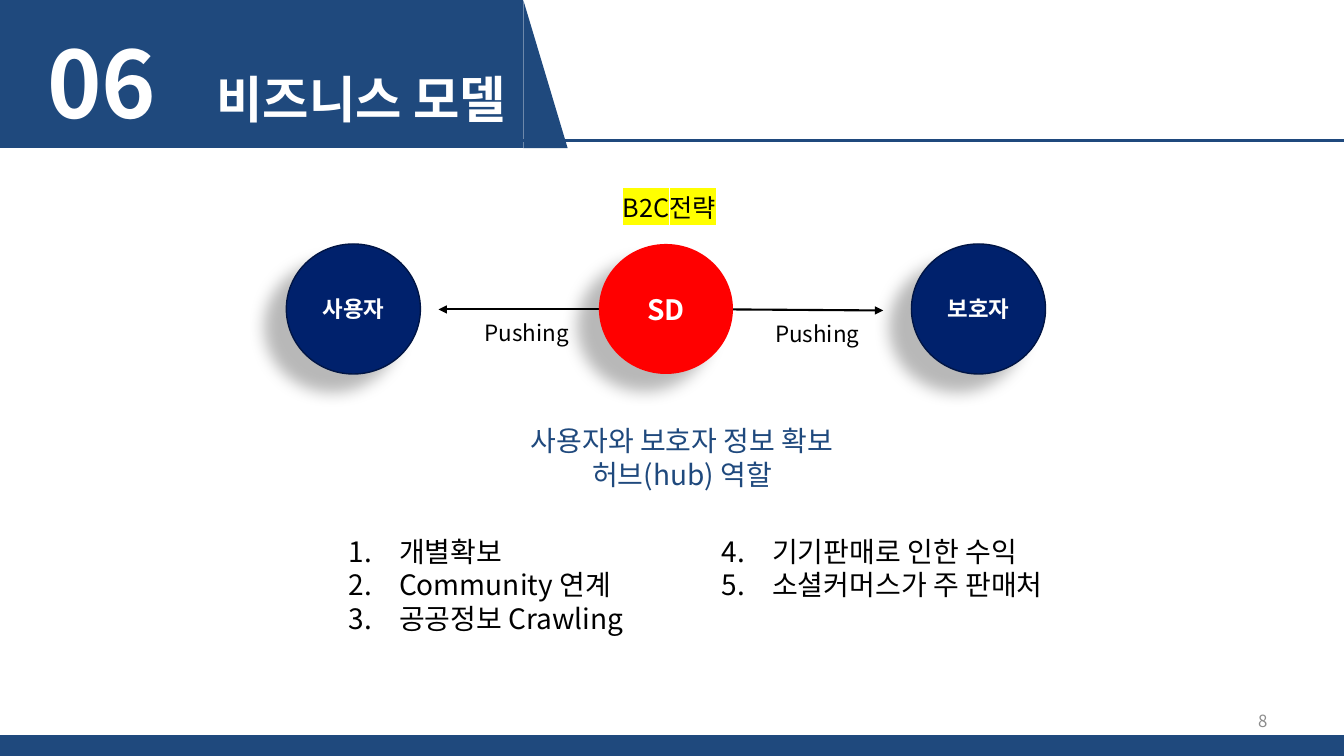
"""Build the business model slide with its push diagram and numbered plans."""

from dataclasses import dataclass
from typing import Optional

from lxml.etree import SubElement
from pptx import Presentation
from pptx.dml.color import RGBColor as Rgb
from pptx.enum.shapes import MSO_CONNECTOR as Connector, MSO_SHAPE as Preset
from pptx.enum.text import MSO_ANCHOR as Anchor, PP_ALIGN as Align
from pptx.oxml.ns import qn
from pptx.shapes.autoshape import Shape
from pptx.shapes.connector import Connector as Line
from pptx.slide import Slide
from pptx.text.text import _Paragraph as Paragraph
from pptx.util import Inches, Pt


@dataclass(frozen=True)
class Theme:
    """Colours, font and type sizes of the slide."""
    font: str = "Noto Sans CJK KR"
    blue: str = "1F497D"
    navy: str = "00216C"
    navy_edge: str = "001545"
    red: str = "FF0000"
    black: str = "000000"
    white: str = "FFFFFF"
    grey: str = "8C8C8C"
    yellow: str = "FFFF00"
    number: int = 66
    title: int = 36
    body: int = 20
    strategy: int = 18
    label: int = 16
    page: int = 12


THEME = Theme()


@dataclass(frozen=True)
class Box:
    """Position and size in inches."""
    left: float
    top: float
    width: float
    height: float


@dataclass(frozen=True)
class Band:
    """A plain blue header or footer block."""
    preset: Preset
    box: Box


@dataclass(frozen=True)
class Node:
    """A round participant of the diagram."""
    text: str
    left: float
    fill: str
    edge: Optional[str]
    size: int


@dataclass(frozen=True)
class Rule:
    """A straight line between two points in inches."""
    start: tuple[float, float]
    end: tuple[float, float]
    color: str
    weight: float
    arrow: bool = False


@dataclass(frozen=True)
class Caption:
    """A text box whose lines share one format."""
    lines: tuple[str, ...]
    box: Box
    size: int
    color: str = THEME.black
    align: Align = Align.LEFT
    anchor: Anchor = Anchor.TOP
    wrap: bool = True
    highlight: Optional[str] = None
    first_number: Optional[int] = None


BANDS = (
    Band(Preset.FLOWCHART_PROCESS, Box(0, 0, 5.19, 1.47)),
    Band(Preset.ISOSCELES_TRIANGLE, Box(5.19, 0, 0.44, 1.47)),
    Band(Preset.FLOWCHART_PROCESS, Box(0, 7.29, 13.33, 0.21)),
)
NODES = (
    Node("SD", 5.94, THEME.red, None, THEME.body),
    Node("사용자", 2.84, THEME.navy, THEME.navy_edge, THEME.label),
    Node("보호자", 9.04, THEME.navy, THEME.navy_edge, THEME.label),
)
RULES = (
    Rule((3.52, 1.39), (13.33, 1.39), THEME.blue, 2.25),
    Rule((5.94, 3.07), (4.35, 3.07), THEME.black, 1.5, arrow=True),
    Rule((7.27, 3.07), (8.76, 3.08), THEME.black, 1.5, arrow=True),
)
CAPTIONS = (
    Caption(("8",), Box(9.56, 6.95, 3.11, 0.4), THEME.page, THEME.grey,
            Align.RIGHT, Anchor.MIDDLE),
    Caption(("B2C전략",), Box(6.08, 1.86, 1.18, 0.4), THEME.strategy,
            wrap=False, highlight=THEME.yellow),
    Caption(("Pushing",), Box(4.71, 3.12, 1.06, 0.37), THEME.label, wrap=False),
    Caption(("Pushing",), Box(7.59, 3.13, 1.06, 0.37), THEME.label, wrap=False),
    Caption(("사용자와 보호자 정보 확보", "허브(hub) 역할"), Box(4.97, 4.22, 3.59, 0.63),
            THEME.body, THEME.blue, Align.CENTER, Anchor.MIDDLE),
    Caption(("개별확보", "Community 연계", "공공정보 Crawling"),
            Box(3.36, 5.25, 3.31, 1.11), THEME.body, first_number=1),
    Caption(("기기판매로 인한 수익", "소셜커머스가 주 판매처"),
            Box(7.06, 5.25, 3.62, 0.77), THEME.body, first_number=4),
)


def lengths(box: Box) -> tuple[Inches, ...]:
    """Return the box as slide lengths."""
    return tuple(Inches(v) for v in (box.left, box.top, box.width, box.height))


def write(paragraph: Paragraph, text: str, *, size: int, color: str,
          bold: bool = False, align: Align = Align.LEFT,
          highlight: Optional[str] = None) -> None:
    """Append one formatted run to a paragraph."""
    paragraph.alignment = align
    run = paragraph.add_run()
    run.text = text
    font = run.font
    font.size, font.bold, font.name = Pt(size), bold, THEME.font
    font.color.rgb = Rgb.from_string(color)
    properties = run._r.get_or_add_rPr()
    latin = properties.find(qn("a:latin"))
    if highlight:
        mark = SubElement(properties, qn("a:highlight"))
        SubElement(mark, qn("a:srgbClr"), val=highlight)
        latin.addprevious(mark)
    east_asian = SubElement(properties, qn("a:ea"), typeface=THEME.font)
    latin.addnext(east_asian)


def number_paragraph(paragraph: Paragraph, first: int) -> None:
    """Give a paragraph a hanging automatic number."""
    properties = paragraph._p.get_or_add_pPr()
    properties.set("marL", str(Inches(0.5)))
    properties.set("indent", str(Inches(-0.5)))
    SubElement(properties, qn("a:buAutoNum"), type="arabicPeriod", startAt=str(first))


def add_block(slide: Slide, preset: Preset, box: Box, fill: str,
              edge: Optional[str] = None) -> Shape:
    """Add a filled shape without a shadow."""
    shape = slide.shapes.add_shape(preset, *lengths(box))
    shape.fill.solid()
    shape.fill.fore_color.rgb = Rgb.from_string(fill)
    if edge:
        shape.line.color.rgb = Rgb.from_string(edge)
        shape.line.width = Pt(1)
    else:
        shape.line.fill.background()
    shape.shadow.inherit = False
    return shape


def add_node(slide: Slide, node: Node) -> None:
    """Add a labelled circle with a soft shadow to its lower left."""
    box = Box(node.left, 2.42, 1.33, 1.29)
    shape = add_block(slide, Preset.OVAL, box, node.fill, node.edge)
    effects = shape._element.spPr.find(qn("a:effectLst"))
    shadow = SubElement(effects, qn("a:outerShdw"), blurRad=str(Pt(11.8)),
                        dist=str(Pt(19.7)), dir=str(141 * 60000), rotWithShape="0")
    color = SubElement(shadow, qn("a:srgbClr"), val=THEME.black)
    SubElement(color, qn("a:alpha"), val="28000")
    shape.text_frame.vertical_anchor = Anchor.MIDDLE
    write(shape.text_frame.paragraphs[0], node.text, size=node.size,
          color=THEME.white, bold=True, align=Align.CENTER)


def add_rule(slide: Slide, rule: Rule) -> Line:
    """Add a line, with an arrowhead at its end if asked."""
    points = (Inches(v) for v in (*rule.start, *rule.end))
    connector = slide.shapes.add_connector(Connector.STRAIGHT, *points)
    connector.line.color.rgb = Rgb.from_string(rule.color)
    connector.line.width = Pt(rule.weight)
    if rule.arrow:
        SubElement(connector.line._get_or_add_ln(), qn("a:tailEnd"), type="triangle")
    SubElement(connector._element.spPr, qn("a:effectLst"))
    return connector


def add_caption(slide: Slide, caption: Caption) -> None:
    """Add a text box with one paragraph for each line."""
    frame = slide.shapes.add_textbox(*lengths(caption.box)).text_frame
    frame.word_wrap = caption.wrap
    frame.vertical_anchor = caption.anchor
    for index, line in enumerate(caption.lines):
        paragraph = frame.add_paragraph() if index else frame.paragraphs[0]
        if caption.first_number:
            number_paragraph(paragraph, caption.first_number)
        write(paragraph, line, size=caption.size, color=caption.color,
              align=caption.align, highlight=caption.highlight)


def add_title(slide: Slide) -> None:
    """Add the section number and title, parted by a tab stop."""
    frame = slide.shapes.add_textbox(*lengths(Box(0.37, 0.21, 6.54, 1.21))).text_frame
    frame.word_wrap = True
    paragraph = frame.paragraphs[0]
    stops = SubElement(paragraph._p.get_or_add_pPr(), qn("a:tabLst"))
    SubElement(stops, qn("a:tab"), pos=str(Inches(1.68)), algn="l")
    for text, size in (("06\t", THEME.number), ("비즈니스 모델", THEME.title)):
        write(paragraph, text, size=size, color=THEME.white, bold=True)


def main() -> None:
    """Build and save the presentation."""
    presentation = Presentation()
    presentation.slide_width, presentation.slide_height = Inches(13.33), Inches(7.5)
    slide = presentation.slides.add_slide(presentation.slide_layouts[6])
    for band in BANDS:
        shape = add_block(slide, band.preset, band.box, THEME.blue)
        if band.preset == Preset.ISOSCELES_TRIANGLE:
            shape.adjustments[0] = 0
    add_title(slide)
    for rule in RULES:
        add_rule(slide, rule)
    for node in NODES:
        add_node(slide, node)
    for caption in CAPTIONS:
        add_caption(slide, caption)
    presentation.save("out.pptx")


if __name__ == "__main__":
    main()
